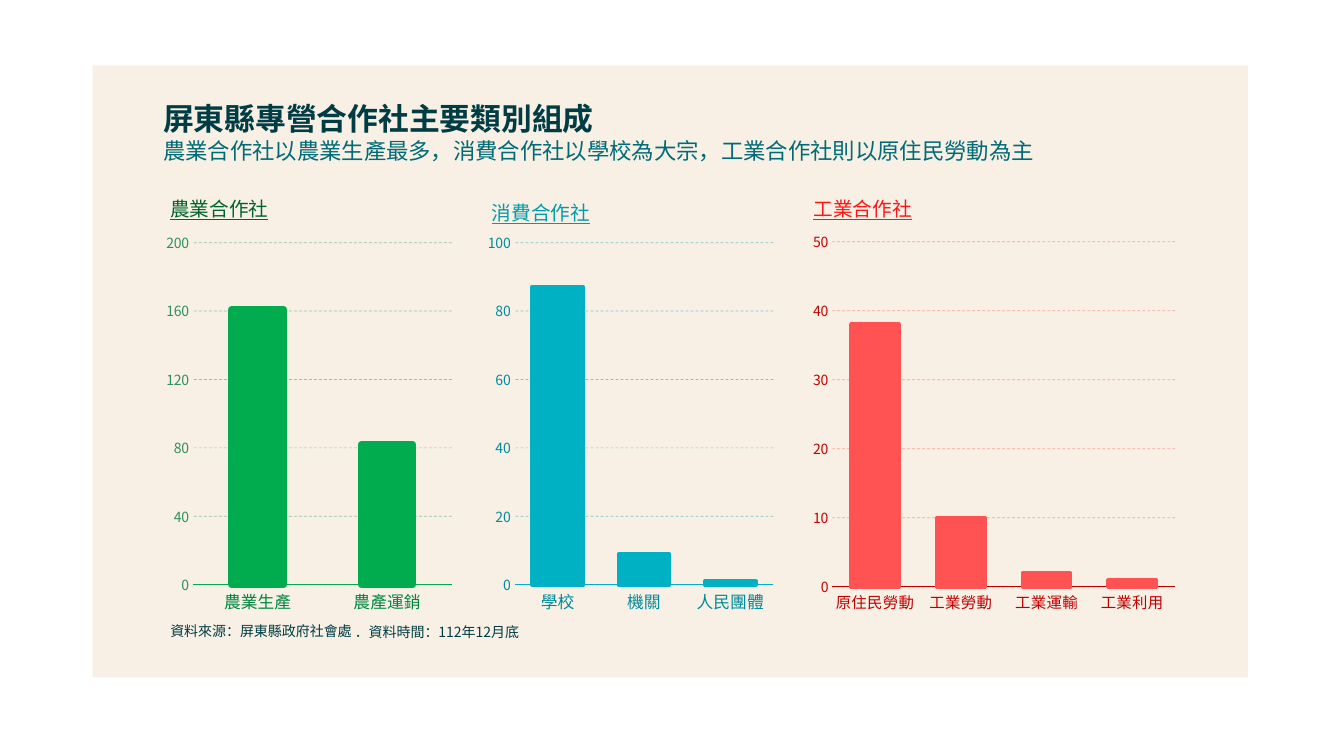
"""Build a slide comparing the main types of single-purpose cooperatives in Pingtung."""
from copy import deepcopy

from lxml.etree import SubElement
from pptx import Presentation
from pptx.chart.data import CategoryChartData as ChartData
from pptx.dml.color import RGBColor as RGB
from pptx.enum.chart import XL_CHART_TYPE as ChartType, XL_TICK_MARK as Tick
from pptx.enum.dml import MSO_LINE as Dash
from pptx.enum.shapes import MSO_SHAPE as Shape
from pptx.enum.text import MSO_AUTO_SIZE as AutoSize
from pptx.oxml.ns import qn
from pptx.util import Inches, Pt

FONT = "Noto Sans CJK SC"
COLORS = {
    "panel": "F8F0E5", "ink": "003C43", "subtitle": "006B76",
    "farm_head": "00642D", "farm_bar": "00AC4E", "farm_cat": "00863D",
    "farm_val": "318F59", "farm_grid": "359D61",
    "shop_head": "009CAC", "shop_bar": "00B1C4", "shop_cat": "008B9A",
    "shop_val": "008B9A", "shop_grid": "009CAC",
    "work_head": "FF1515", "work_bar": "FF5353", "work_cat": "C00000",
    "work_val": "C00000", "work_grid": "FF5353",
}


def apply(target, values):
    for name, value in values.items():
        setattr(target, name, value)


class CooperativeSlide:
    def __init__(self, slide, font, colors):
        self.shapes = slide.shapes
        self.font = font
        self.colors = colors

    def color(self, key):
        return RGB.from_string(self.colors[key])

    def style_font(self, font, size, color, **extra):
        apply(font, {"name": self.font, "size": Pt(size), **extra})
        font.color.rgb = self.color(color)

    def style_line(self, line, color, width):
        line.color.rgb = self.color(color)
        line.width = Pt(width)

    def use_east_asian_font(self, element):
        for latin in list(element.iter(qn("a:latin"))):
            east_asian = deepcopy(latin)
            east_asian.tag = qn("a:ea")
            latin.addnext(east_asian)

    def panel(self, box, color):
        panel = self.shapes.add_shape(Shape.RECTANGLE, *map(Inches, box))
        panel.shadow.inherit = False
        panel.fill.solid()
        panel.fill.fore_color.rgb = self.color(color)
        panel.line.fill.background()

    def text(self, box, wording, size, color, **extra):
        label = self.shapes.add_textbox(*map(Inches, box))
        apply(label.text_frame, {"word_wrap": True, "auto_size": AutoSize.SHAPE_TO_FIT_TEXT})
        run = label.text_frame.paragraphs[0].add_run()
        run.text = wording
        self.style_font(run.font, size, color, **extra)
        self.use_east_asian_font(label.element)

    def chart(self, box, theme, counts, top, gap, category_size, outline):
        data = ChartData()
        data.categories = list(counts)
        data.add_series("Series 1", list(counts.values()))
        chart = self.shapes.add_chart(
            ChartType.COLUMN_CLUSTERED, *map(Inches, box), data).chart
        apply(chart, {"has_legend": False, "has_title": False})
        apply(chart.font, {"name": "Calibri", "size": Pt(10)})

        plot = chart.plots[0]
        apply(plot, {"gap_width": gap, "overlap": -27, "vary_by_categories": False})
        bars = plot.series[0].format
        bars.fill.solid()
        bars.fill.fore_color.rgb = self.color(f"{theme}_bar")
        self.style_line(bars.line, f"{theme}_bar", outline)

        category_axis, value_axis = chart.category_axis, chart.value_axis
        no_ticks = {"major_tick_mark": Tick.NONE, "minor_tick_mark": Tick.NONE}
        apply(category_axis, no_ticks)
        apply(value_axis, {**no_ticks, "minimum_scale": 0, "maximum_scale": top,
                           "major_unit": top / 5, "has_major_gridlines": True})
        self.style_font(category_axis.tick_labels.font, category_size, f"{theme}_cat")
        self.style_font(value_axis.tick_labels.font, 10, f"{theme}_val")
        baseline = "work_cat" if theme == "work" else f"{theme}_bar"
        self.style_line(category_axis.format.line, baseline, 0.75)
        value_axis.format.line.fill.background()

        grid = value_axis.major_gridlines.format.line
        self.style_line(grid, f"{theme}_grid", 0.5)
        grid.dash_style = Dash.DASH
        for gridlines in chart.element.iter(qn("c:majorGridlines")):
            for shade in gridlines.iter(qn("a:srgbClr")):
                SubElement(shade, qn("a:alpha"), val="50000")
        self.use_east_asian_font(chart.element)


def main():
    deck = Presentation()
    apply(deck, {"slide_width": Inches(13.33), "slide_height": Inches(7.5)})
    page = CooperativeSlide(deck.slides.add_slide(deck.slide_layouts[6]), FONT, COLORS)

    page.panel((0.92, 0.65, 11.46, 6.07), "panel")

    farm = {"農業生產": 161, "農產運銷": 82}
    shop = {"學校": 87, "機關": 9, "人民團體": 1}
    work = {"原住民勞動": 38, "工業勞動": 10, "工業運輸": 2, "工業利用": 1}
    page.chart((1.59, 2.23, 2.95, 3.94), "farm", farm, 200, 150, 12, 5)
    page.chart((4.78, 2.23, 2.95, 3.94), "shop", shop, 100, 70, 12, 3)
    page.chart((7.99, 2.22, 3.74, 3.94), "work", work, 50, 80, 11, 3)

    for left, top, heading, theme in (
        (1.59, 1.9, "農業合作社", "farm"),
        (4.78, 1.94, "消費合作社", "shop"),
        (7.97, 1.9, "工業合作社", "work"),
    ):
        page.text((left, top, 1.2, 0.34), heading, 14, f"{theme}_head", underline=True)

    page.text((1.52, 0.94, 5.02, 0.47), "屏東縣專營合作社主要類別組成", 22, "ink", bold=True)
    page.text((1.52, 1.31, 9.46, 0.37),
              "農業合作社以農業生產最多，消費合作社以學校為大宗，工業合作社則以原住民勞動為主",
              16, "subtitle")
    page.text((1.59, 6.13, 2.11, 0.27), "資料來源：屏東縣政府社會處", 10, "ink")
    page.text((3.42, 6.14, 2.11, 0.27), "．資料時間：112年12月底", 10, "ink")

    deck.save("out.pptx")


if __name__ == "__main__":
    main()
